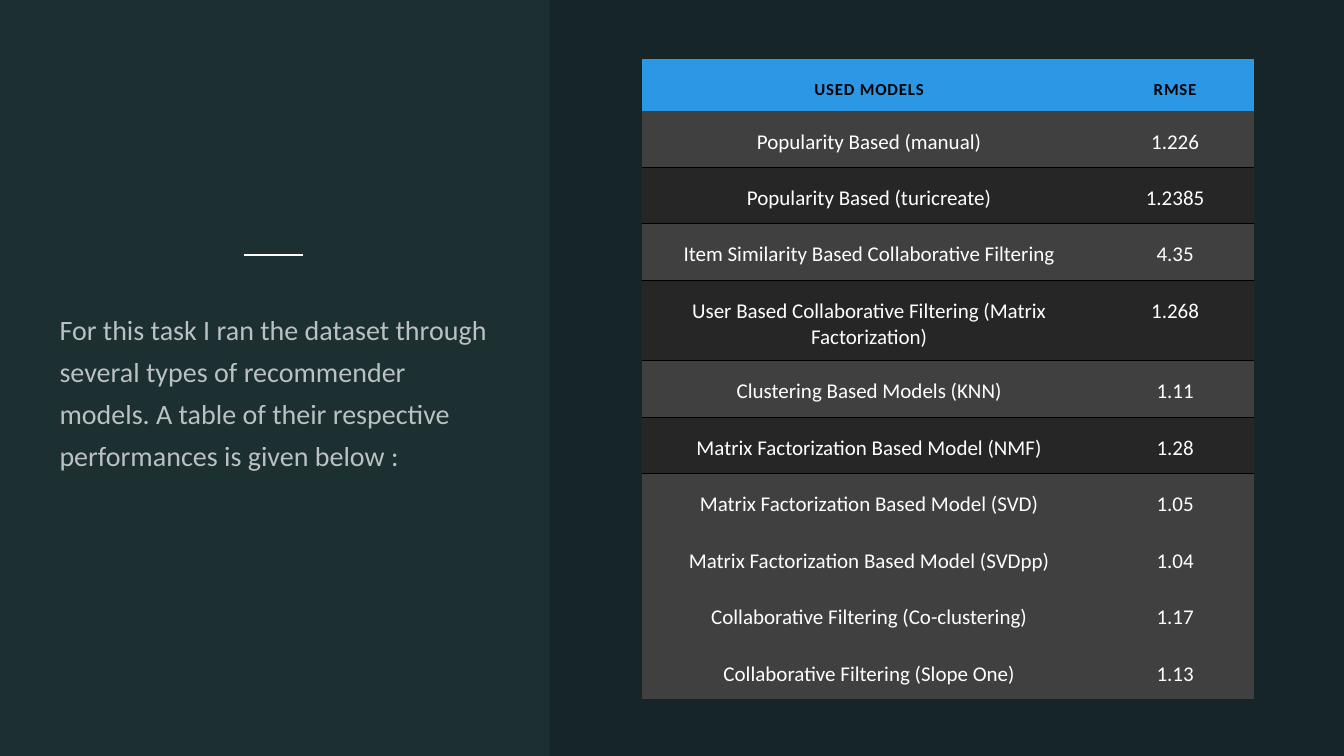
from lxml import etree
from pptx import Presentation
from pptx import util as u
from pptx.dml.color import RGBColor
from pptx.enum import shapes, text
from pptx.oxml import ns

INTRO = (
    "For this task I ran the dataset through several types of recommender models. "
    "A table of their respective performances is given below :"
)
HEADER = ("USED MODELS", "RMSE")
MODELS = [
    ("Popularity Based (manual)", "1.226"),
    ("Popularity Based (turicreate)", "1.2385"),
    ("Item Similarity Based Collaborative Filtering", "4.35"),
    ("User Based Collaborative Filtering (Matrix Factorization)", "1.268"),
    ("Clustering Based Models (KNN)", "1.11"),
    ("Matrix Factorization Based Model (NMF)", "1.28"),
    ("Matrix Factorization Based Model (SVD)", "1.05"),
    ("Matrix Factorization Based Model (SVDpp)", "1.04"),
    ("Collaborative Filtering (Co-clustering)", "1.17"),
    ("Collaborative Filtering (Slope One)", "1.13"),
]
DARK_ROWS = (2, 4, 6)
WRAPPED_ROW = 4
COLORS = {
    "background": "1C2F31",
    "white": "FFFFFF",
    "black": "000000",
    "header": "2B97E5",
    "row": "404040",
    "dark row": "262626",
}
FONT = "Calibri"
WIDTH, HEIGHT = 13.33, 7.5
MARGIN = 0.59
PANEL_LEFT = 5.45
RULE_LEFT, RULE_RIGHT, RULE_TOP = 2.42, 3.01, 2.53
TABLE_LEFT = 6.37
COLUMNS = (4.5, 1.57)
HEADER_HEIGHT, ROW_HEIGHT, WRAPPED_HEIGHT = 0.51, 0.56, 0.8
CELL_INSETS = (0.18, 0.18, 0.18, 0.09)
NO_GRID_STYLE = "{2D5ABB26-0587-4C30-8999-92F81FD0307C}"


def rgb(name):
    return RGBColor.from_string(COLORS[name])


def fade(fill, percent):
    color = fill._xPr.find(ns.qn("a:solidFill"))[0]
    etree.SubElement(color, ns.qn("a:alpha"), val=str(percent * 1000))


def write(frame, words, size, color, bold=False, align=text.PP_ALIGN.LEFT,
          line_spacing=None, space_after=None, spacing=None, opacity=None):
    paragraph = frame.paragraphs[0]
    paragraph.alignment = align
    paragraph.line_spacing = line_spacing
    if space_after is not None:
        paragraph.space_after = u.Pt(space_after)
    run = paragraph.add_run()
    run.text = words
    font = run.font
    font.name, font.size, font.bold = FONT, u.Pt(size), bold
    font.color.rgb = rgb(color)
    if spacing is not None:
        font._element.set("spc", str(round(spacing * 100)))
    if opacity is not None:
        fade(font.fill, opacity)


def add_border(cell, side):
    border = etree.Element(ns.qn(f"a:ln{side}"), w=str(u.Pt(1)))
    fill = etree.SubElement(border, ns.qn("a:solidFill"))
    etree.SubElement(fill, ns.qn("a:srgbClr"), val=COLORS["black"])
    cell._tc.get_or_add_tcPr().insert(0, border)


def add_intro(slide):
    rule = slide.shapes.add_connector(
        shapes.MSO_CONNECTOR.STRAIGHT,
        *map(u.Inches, (RULE_LEFT, RULE_TOP, RULE_RIGHT, RULE_TOP)))
    rule.line.color.rgb = rgb("white")
    rule.line.width = u.Pt(1)
    etree.SubElement(rule._element.spPr, ns.qn("a:effectLst"))

    frame = slide.shapes.add_textbox(*map(u.Inches, (MARGIN, 3.02, 4.25, 3.29))).text_frame
    frame.word_wrap = True
    frame.margin_left = frame.margin_top = frame.margin_right = frame.margin_bottom = 0
    write(frame, INTRO, 20, "white", line_spacing=1.25, space_after=6, opacity=70)


def add_panel(slide):
    panel = slide.shapes.add_shape(
        shapes.MSO_SHAPE.RECTANGLE,
        *map(u.Inches, (PANEL_LEFT, 0, WIDTH - PANEL_LEFT, HEIGHT)))
    panel.shadow.inherit = False
    panel.line.fill.background()
    panel.fill.solid()
    panel.fill.fore_color.rgb = rgb("black")
    fade(panel.fill, 20)


def add_models_table(slide):
    rows = [HEADER] + MODELS
    heights = [HEADER_HEIGHT] + [ROW_HEIGHT] * len(MODELS)
    heights[WRAPPED_ROW] = WRAPPED_HEIGHT
    table = slide.shapes.add_table(
        len(rows), len(COLUMNS),
        *map(u.Inches, (TABLE_LEFT, MARGIN, sum(COLUMNS), sum(heights)))).table
    table.horz_banding = False
    table._tbl.tblPr.find(ns.qn("a:tableStyleId")).text = NO_GRID_STYLE
    for column, width in zip(table.columns, COLUMNS):
        column.width = u.Inches(width)
    for index, (values, height) in enumerate(zip(rows, heights)):
        table.rows[index].height = u.Inches(height)
        header = index == 0
        color = "header" if header else "dark row" if index in DARK_ROWS else "row"
        for cell, value in zip(table.rows[index].cells, values):
            (cell.margin_left, cell.margin_top,
             cell.margin_right, cell.margin_bottom) = map(u.Inches, CELL_INSETS)
            cell.vertical_anchor = text.MSO_ANCHOR.MIDDLE if header else text.MSO_ANCHOR.TOP
            cell.fill.solid()
            cell.fill.fore_color.rgb = rgb(color)
            if index in DARK_ROWS:
                add_border(cell, "T")
            if index + 1 in DARK_ROWS:
                add_border(cell, "B")
            write(cell.text_frame, value, 12 if header else 15,
                  "black" if header else "white", bold=header,
                  align=text.PP_ALIGN.CENTER, spacing=0.6 if header else 0)


def main():
    presentation = Presentation()
    presentation.slide_width = u.Inches(WIDTH)
    presentation.slide_height = u.Inches(HEIGHT)
    slide = presentation.slides.add_slide(presentation.slide_layouts[6])
    slide.background.fill.solid()
    slide.background.fill.fore_color.rgb = rgb("background")
    add_intro(slide)
    add_panel(slide)
    add_models_table(slide)
    presentation.save("out.pptx")


if __name__ == "__main__":
    main()
